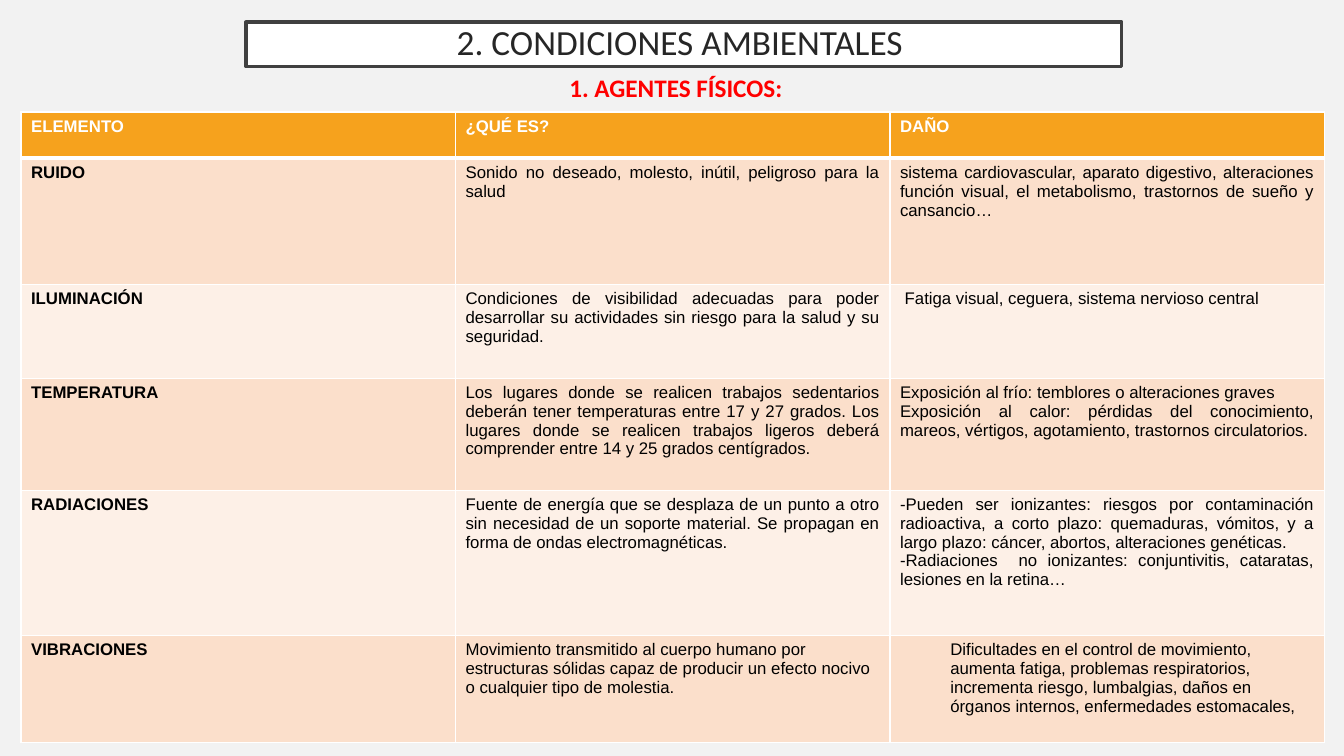
from lxml import etree
from pptx import Presentation
from pptx import util as u
from pptx.dml.color import RGBColor
from pptx.enum import shapes, text
from pptx.oxml.ns import qn

COLORS = {
    "page": "F2F2F2", "white": "FFFFFF", "frame": "404040", "title": "262626",
    "red": "FF0000", "black": "000000", "header": "F6A21D",
    "dark band": "FBDFCB", "light band": "FDF0E7",
}
LEFT, CENTER, JUSTIFY = text.PP_ALIGN.LEFT, text.PP_ALIGN.CENTER, text.PP_ALIGN.JUSTIFY

ROWS = [
    (1.17, "ELEMENTO", "¿QUÉ ES?", "DAÑO"),
    (3.18, "RUIDO",
     "Sonido no deseado, molesto, inútil, peligroso para la salud",
     "sistema cardiovascular, aparato digestivo, alteraciones función visual, "
     "el metabolismo, trastornos de sueño y cansancio…"),
    (2.36, "ILUMINACIÓN",
     "Condiciones de visibilidad adecuadas para poder desarrollar su actividades "
     "sin riesgo para la salud y su seguridad.",
     " Fatiga visual, ceguera, sistema nervioso central"),
    (2.82, "TEMPERATURA",
     "Los lugares donde se realicen trabajos sedentarios deberán tener temperaturas "
     "entre 17 y 27 grados. Los lugares donde se realicen trabajos ligeros deberá "
     "comprender entre 14 y 25 grados centígrados.",
     "Exposición al frío: temblores o alteraciones graves\n"
     "Exposición al calor: pérdidas del conocimiento, mareos, vértigos, agotamiento, "
     "trastornos circulatorios."),
    (3.66, "RADIACIONES",
     "Fuente de energía que se desplaza de un punto a otro sin necesidad de un soporte "
     "material. Se propagan en forma de ondas electromagnéticas.",
     "-Pueden ser ionizantes: riesgos por contaminación radioactiva, a corto plazo: "
     "quemaduras, vómitos, y a largo plazo: cáncer, abortos, alteraciones genéticas.\n"
     "-Radiaciones  no ionizantes: conjuntivitis, cataratas, lesiones en la retina…"),
    (2.69, "VIBRACIONES",
     "Movimiento transmitido al cuerpo humano por estructuras sólidas capaz de producir "
     "un efecto nocivo o cualquier tipo de molestia.",
     "Dificultades en el control de movimiento, aumenta fatiga, problemas respiratorios, "
     "incrementa riesgo, lumbalgias, daños en órganos internos, enfermedades estomacales,"),
]


class SlideBuilder:
    """Hold the style and the current slide, and add each kind of element."""

    def __init__(self, page):
        self.page = page
        self.paint(page.background.fill, "page")

    def paint(self, fill, color):
        fill.solid()
        fill.fore_color.rgb = RGBColor.from_string(COLORS[color])

    def set_words(self, frame, words, size, color, font="Calibri", bold=False, align=CENTER):
        frame.word_wrap = True
        frame.text = words
        for paragraph in frame.paragraphs:
            paragraph.alignment = align
            paragraph.font.name = font
            paragraph.font.size = u.Pt(size)
            paragraph.font.bold = bold
            paragraph.font.color.rgb = RGBColor.from_string(COLORS[color])

    def title(self, words, *place):
        box = self.page.shapes.add_shape(shapes.MSO_SHAPE.RECTANGLE, *map(u.Cm, place))
        box.shadow.inherit = False
        self.paint(box.fill, "white")
        self.paint(box.line.fill, "frame")
        box.line.width = u.Pt(2.5)
        frame = box.text_frame
        frame.vertical_anchor = text.MSO_ANCHOR.MIDDLE
        frame.margin_top = frame.margin_bottom = 0
        self.set_words(frame, words, 25.2, "title")
        frame.paragraphs[0].line_spacing = 0.9

    def subtitle(self, words, *place):
        box = self.page.shapes.add_textbox(*map(u.Cm, place))
        self.set_words(box.text_frame, words, 18, "red", bold=True)

    def border(self, cell, side, width):
        properties = cell._tc.get_or_add_tcPr()
        line = etree.SubElement(properties, qn(f"a:ln{side}"), w=str(u.Pt(width)))
        fill = etree.SubElement(line, qn("a:solidFill"))
        etree.SubElement(fill, qn("a:srgbClr"), val=COLORS["white"])

    def table(self, rows, left, top, column_width):
        columns = len(rows[0]) - 1
        height = sum(row[0] for row in rows)
        table = self.page.shapes.add_table(
            len(rows), columns, u.Cm(left), u.Cm(top),
            u.Cm(column_width * columns), u.Cm(height)).table
        for column in table.columns:
            column.width = u.Cm(column_width)
        for r, (row_height, *entries) in enumerate(rows):
            table.rows[r].height = u.Cm(row_height)
            band = "header" if r == 0 else "dark band" if r % 2 else "light band"
            for c, words in enumerate(entries):
                cell = table.cell(r, c)
                for side in "LRTB":
                    under_header = (r, side) in ((0, "B"), (1, "T"))
                    self.border(cell, side, 3 if under_header else 1)
                self.paint(cell.fill, band)
                ragged = r == 0 or (r == len(rows) - 1 and c > 0)
                self.set_words(cell.text_frame, words, 12, "black" if r else "white", "Arial",
                               bold=r == 0 or c == 0, align=LEFT if ragged else JUSTIFY)
        return table


def main():
    deck = Presentation()
    deck.slide_width, deck.slide_height = u.Cm(33.87), u.Cm(19.05)
    builder = SlideBuilder(deck.slides.add_slide(deck.slide_layouts[6]))
    builder.title("2. CONDICIONES AMBIENTALES ", 6.2, 0.56, 22.07, 1.12)
    builder.subtitle("1. AGENTES FÍSICOS: ", 4.67, 1.7, 24.87, 1.1)
    table = builder.table(ROWS, 0.53, 2.82, 10.95)
    table.cell(len(ROWS) - 1, 2).margin_left = u.Cm(1.52)
    deck.save("out.pptx")


if __name__ == "__main__":
    main()
